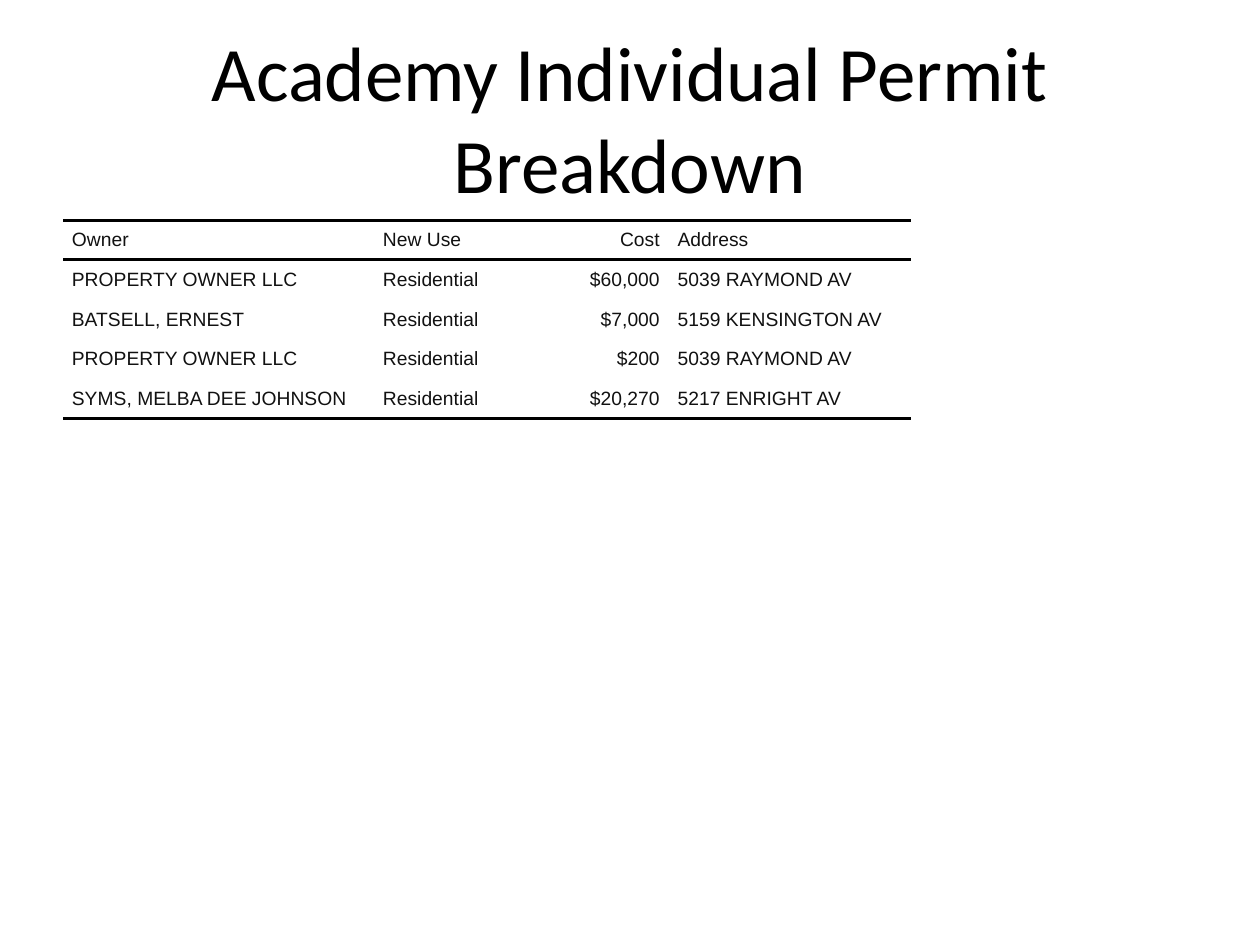
from lxml import etree
from pptx import Presentation
from pptx.dml.color import RGBColor
from pptx.enum.text import MSO_ANCHOR, MSO_AUTO_SIZE, PP_ALIGN
from pptx.oxml.ns import qn
from pptx.util import Cm, Pt

MIDDLE = MSO_ANCHOR.MIDDLE
NO_AUTOFIT = MSO_AUTO_SIZE.NONE
LEFT, CENTER, RIGHT = PP_ALIGN.LEFT, PP_ALIGN.CENTER, PP_ALIGN.RIGHT

BLACK = RGBColor(0x00, 0x00, 0x00)
INK = RGBColor(0x11, 0x11, 0x11)

PLAIN_STYLE = "{2D5ABB26-0587-4C30-8999-92F81FD0307C}"
COL_WIDTHS = (6.27, 2.64, 3.3, 4.88)
COL_ALIGNS = (LEFT, LEFT, RIGHT, LEFT)
ROW_HEIGHT = 0.8
PERMITS = (
    ("Owner", "New Use", "Cost", "Address"),
    ("PROPERTY OWNER LLC", "Residential", "$60,000", "5039 RAYMOND AV"),
    ("BATSELL, ERNEST", "Residential", "$7,000", "5159 KENSINGTON AV"),
    ("PROPERTY OWNER LLC", "Residential", "$200", "5039 RAYMOND AV"),
    ("SYMS, MELBA DEE JOHNSON", "Residential", "$20,270", "5217 ENRIGHT AV"),
)


def add_run(p, text, font, size, color, align):
    """Add one formatted run to an aligned paragraph."""
    p.alignment = align
    r = p.add_run()
    r.text = text
    r.font.name = font
    r.font.size = Pt(size)
    r.font.color.rgb = color


def add_rule(cell, side):
    """Draw a black rule on one side of a cell."""
    ln = etree.SubElement(cell._tc.get_or_add_tcPr(), qn(f"a:{side}"), w=str(Pt(2)))
    fill = etree.SubElement(ln, qn("a:solidFill"))
    etree.SubElement(fill, qn("a:srgbClr"), val=str(BLACK))


def add_title(s, left, top, width, height):
    """Place the centred slide title in the given box."""
    sp = s.shapes.add_textbox(Cm(left), Cm(top), Cm(width), Cm(height))
    tf = sp.text_frame
    tf.word_wrap = True
    tf.auto_size = NO_AUTOFIT
    tf.vertical_anchor = MIDDLE
    add_run(tf.paragraphs[0], "Academy Individual Permit Breakdown",
            "Calibri", 44, BLACK, CENTER)


def add_permit_table(s, left, top):
    """Place the permit table with its top left corner at the given point."""
    last = len(PERMITS) - 1
    table = s.shapes.add_table(
        len(PERMITS), len(COL_WIDTHS), Cm(left), Cm(top),
        Cm(sum(COL_WIDTHS)), Cm(ROW_HEIGHT * len(PERMITS))).table
    table.horz_banding = False
    table._tbl.tblPr.find(qn("a:tableStyleId")).text = PLAIN_STYLE
    for col, width in zip(table.columns, COL_WIDTHS):
        col.width = Cm(width)
    for i, values in enumerate(PERMITS):
        table.rows[i].height = Cm(ROW_HEIGHT)
        for j, (value, align) in enumerate(zip(values, COL_ALIGNS)):
            cell = table.cell(i, j)
            cell.margin_left = cell.margin_right = Cm(0.18)
            cell.margin_top = cell.margin_bottom = 0
            cell.vertical_anchor = MIDDLE
            if i == 0:
                add_rule(cell, "lnT")
            if i in (0, last):
                add_rule(cell, "lnB")
            cell.fill.background()
            add_run(cell.text_frame.paragraphs[0], value, "Arial", 11, INK, align)


def main():
    """Build and save the slide."""
    prs = Presentation()
    prs.slide_width, prs.slide_height = Cm(25.4), Cm(19.05)
    s = prs.slides.add_slide(prs.slide_layouts[6])
    add_title(s, 1.27, 0.76, 22.86, 3.18)
    add_permit_table(s, 1.27, 4.44)
    prs.save("out.pptx")


if __name__ == "__main__":
    main()
